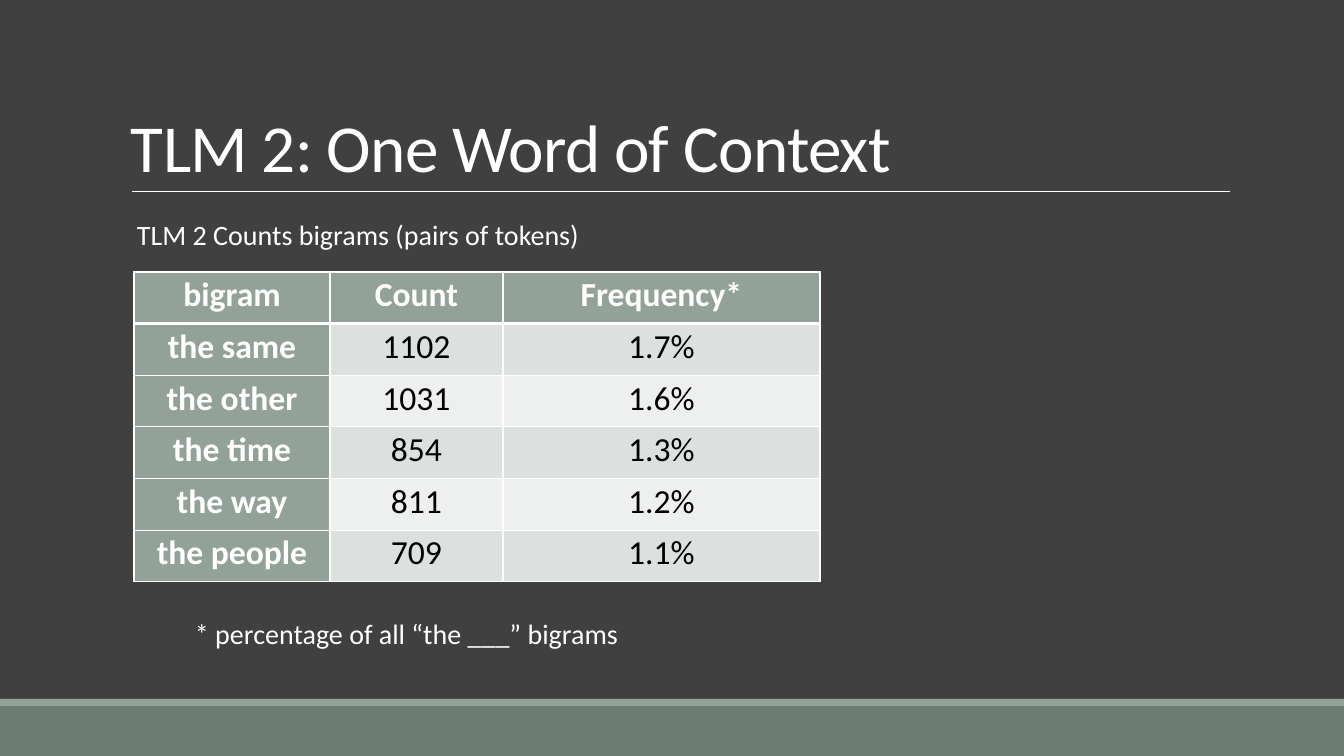
from dataclasses import dataclass

from lxml.etree import SubElement
from pptx import Presentation
from pptx.dml.color import RGBColor
from pptx.enum.shapes import MSO_CONNECTOR, MSO_SHAPE
from pptx.enum.text import MSO_ANCHOR, PP_ALIGN
from pptx.oxml.ns import qn
from pptx.util import Pt


@dataclass(frozen=True)
class Theme:
    font: str = "Calibri"
    back: str = "404040"
    base: str = "6B7D72"
    sage: str = "93A299"
    white: str = "FFFFFF"
    black: str = "000000"
    bands: tuple = ("DCE0DE", "EEF0EF")
    title: int = 48
    body: int = 20
    cell: int = 24


THEME = Theme()
SCALE = 9144000 / 1008
WIDTHS = (196, 173, 317)
ROWS = (
    ("bigram", "Count", "Frequency*"),
    ("the same", "1102", "1.7%"),
    ("the other", "1031", "1.6%"),
    ("the time", "854", "1.3%"),
    ("the way", "811", "1.2%"),
    ("the people", "709", "1.1%"),
)


def px(size):
    return round(size * SCALE)


def rgb(code):
    return RGBColor.from_string(code)


def style(para, size, color, space, bold=False):
    font = para.font
    font.name = THEME.font
    font.size = Pt(size)
    font.bold = bold
    font.color.rgb = rgb(color)
    para.line_spacing = space
    return font


def add_bar(slide, top, height, color):
    bar = slide.shapes.add_shape(
        MSO_SHAPE.RECTANGLE, 0, px(top), px(1344), px(height))
    bar.shadow.inherit = False
    bar.fill.solid()
    bar.fill.fore_color.rgb = rgb(color)
    bar.line.fill.background()


def add_rule(slide, left, right, top):
    rule = slide.shapes.add_connector(
        MSO_CONNECTOR.STRAIGHT, px(left), px(top), px(right), px(top))
    rule.line.color.rgb = rgb(THEME.white)
    rule.line.width = Pt(0.5)
    SubElement(rule._element.spPr, qn("a:effectLst"))


def add_text(slide, words, box, size, space, anchor, inset=0):
    frame = slide.shapes.add_textbox(*map(px, box)).text_frame
    frame.word_wrap = True
    frame.vertical_anchor = anchor
    frame.margin_left = frame.margin_right = px(inset)
    para = frame.paragraphs[0]
    para.text = words
    return style(para, size, THEME.white, space)


def add_edge(cell, side, width):
    edge = SubElement(
        cell._tc.get_or_add_tcPr(), qn("a:ln" + side), w=str(Pt(width)))
    fill = SubElement(edge, qn("a:solidFill"))
    SubElement(fill, qn("a:srgbClr"), val=THEME.white)


def fill_cell(cell, words, row, col):
    head = row == 0 or col == 0
    cell.margin_left = cell.margin_right = px(7)
    cell.margin_top = cell.margin_bottom = 0
    for side in "LRTB":
        thick = (row, side) in ((0, "B"), (1, "T"))
        add_edge(cell, side, 3 if thick else 1)
    cell.fill.solid()
    shade = THEME.sage if head else THEME.bands[(row - 1) % 2]
    cell.fill.fore_color.rgb = rgb(shade)
    para = cell.text_frame.paragraphs[0]
    para.text = words
    para.alignment = PP_ALIGN.CENTER
    style(para, THEME.cell, THEME.white if head else THEME.black, 1.07, head)


def add_grid(slide, left, top, height):
    grid = slide.shapes.add_table(
        len(ROWS), len(WIDTHS), px(left), px(top), px(sum(WIDTHS)), px(height)
    ).table
    for col, width in enumerate(WIDTHS):
        grid.columns[col].width = px(width)
    for row, line in enumerate(ROWS):
        grid.rows[row].height = px(height) // len(ROWS)
        for col, words in enumerate(line):
            fill_cell(grid.cell(row, col), words, row, col)


def main():
    deck = Presentation()
    deck.slide_width = px(1344)
    deck.slide_height = px(756)
    slide = deck.slides.add_slide(deck.slide_layouts[6])
    slide.background.fill.solid()
    slide.background.fill.fore_color.rgb = rgb(THEME.back)

    add_bar(slide, 706, 50, THEME.base)
    add_bar(slide, 699, 7, THEME.sage)
    add_rule(slide, 132, 1230, 191)
    font = add_text(slide, "TLM 2: One Word of Context",
                    (121, 31, 1109, 160), THEME.title, 0.85,
                    MSO_ANCHOR.BOTTOM, 10)
    font._rPr.set("spc", "-50")
    add_text(slide, "TLM 2 Counts bigrams (pairs of tokens)",
             (137, 216, 1100, 40), THEME.body, 0.9, MSO_ANCHOR.MIDDLE)
    add_grid(slide, 134, 272, 310)
    add_text(slide, "* percentage of all “the ___” bigrams",
             (195, 615, 1040, 40), THEME.body, 0.9, MSO_ANCHOR.MIDDLE)
    deck.save("out.pptx")


if __name__ == "__main__":
    main()
